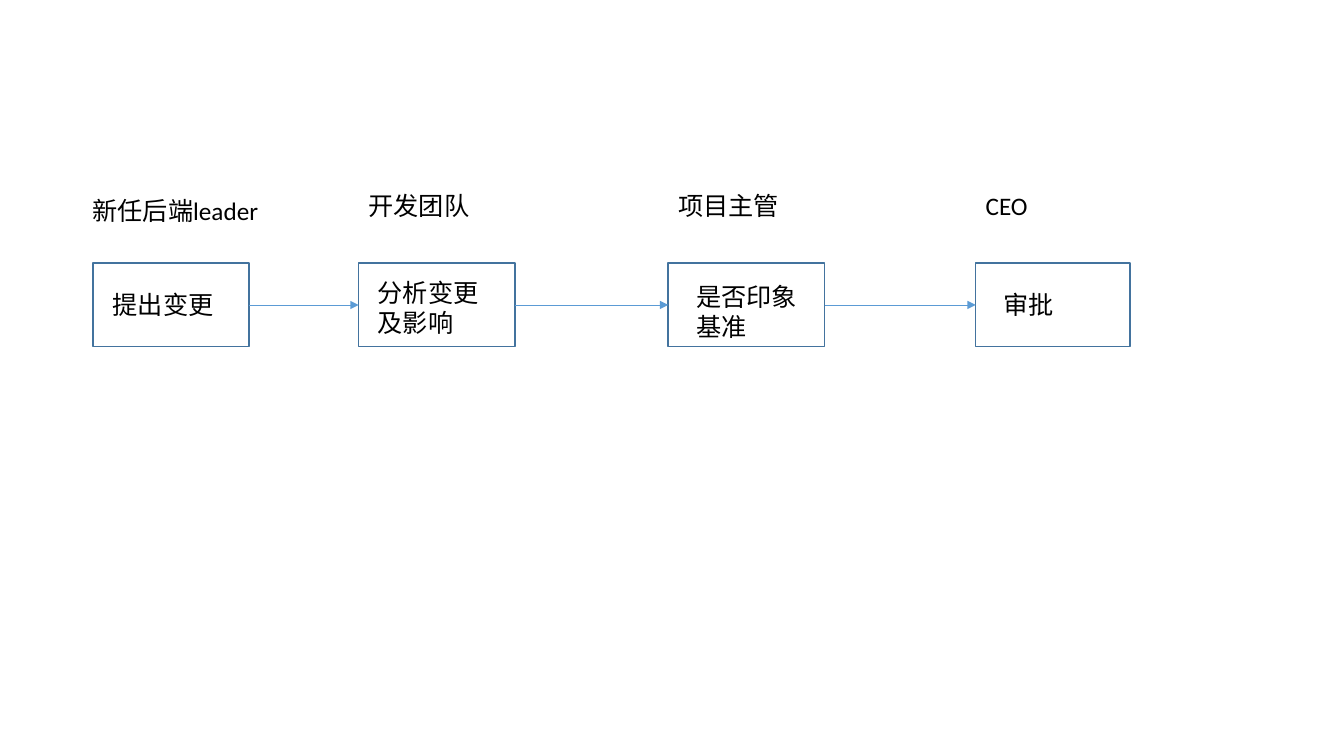
from dataclasses import dataclass
from itertools import pairwise

from lxml import etree
from pptx import Presentation
from pptx.dml.color import RGBColor
from pptx.enum.shapes import MSO_CONNECTOR, MSO_SHAPE
from pptx.enum.text import MSO_AUTO_SIZE
from pptx.oxml.ns import qn
from pptx.shapes.autoshape import Shape
from pptx.slide import Slide
from pptx.util import Cm, Pt

FONT = "Calibri"
TEXT_COLOR = "000000"
BOX_LINE = "43739E"
ARROW_LINE = "5B9BD5"
BOX_TOP, BOX_HEIGHT = 6.63, 2.11
ACTION_WIDTH = 3.45
LEFT_SITE, RIGHT_SITE = 1, 3


@dataclass(frozen=True)
class Label:
    text: str
    left: float
    top: float
    width: float
    height: float = 1.02


@dataclass(frozen=True)
class Step:
    left: float
    width: float
    role: Label
    action: Label


STEPS = [
    Step(2.34, 3.94,
         Label("新任后端leader", 2.08, 4.8, 5.03),
         Label("提出变更", 2.59, 7.16, ACTION_WIDTH)),
    Step(9.04, 3.94,
         Label("开发团队", 9.04, 4.67, 4.78),
         Label("分析变更及影响", 9.27, 6.86, ACTION_WIDTH, 1.8)),
    Step(16.84, 3.94,
         Label("项目主管", 16.84, 4.67, 4.78),
         Label("是否印象基准", 17.3, 6.96, ACTION_WIDTH, 1.8)),
    Step(24.59, 3.89,
         Label("CEO", 24.59, 4.67, 4.78),
         Label("审批", 25.04, 7.16, ACTION_WIDTH)),
]


def color(hex_value: str) -> RGBColor:
    return RGBColor.from_string(hex_value)


def add_box(slide: Slide, step: Step) -> Shape:
    box = slide.shapes.add_shape(
        MSO_SHAPE.RECTANGLE, Cm(step.left), Cm(BOX_TOP), Cm(step.width), Cm(BOX_HEIGHT))
    box.shadow.inherit = False
    box.fill.background()
    box.line.color.rgb = color(BOX_LINE)
    box.line.width = Pt(1)
    return box


def add_label(slide: Slide, label: Label) -> None:
    frame = slide.shapes.add_textbox(
        Cm(label.left), Cm(label.top), Cm(label.width), Cm(label.height)).text_frame
    frame.word_wrap = True
    frame.auto_size = MSO_AUTO_SIZE.SHAPE_TO_FIT_TEXT
    run = frame.paragraphs[0].add_run()
    run.text = label.text
    run.font.name = FONT
    run.font.size = Pt(18)
    run.font.color.rgb = color(TEXT_COLOR)


def add_arrow(slide: Slide, source: Shape, target: Shape) -> None:
    arrow = slide.shapes.add_connector(MSO_CONNECTOR.STRAIGHT, 0, 0, 0, 0)
    arrow.begin_connect(source, RIGHT_SITE)
    arrow.end_connect(target, LEFT_SITE)
    arrow.line.color.rgb = color(ARROW_LINE)
    arrow.line.width = Pt(0.5)
    properties = arrow._element.spPr
    etree.SubElement(properties.find(qn("a:ln")), qn("a:tailEnd"), type="triangle")
    etree.SubElement(properties, qn("a:effectLst"))


def main() -> None:
    presentation = Presentation()
    presentation.slide_width = Cm(33.87)
    presentation.slide_height = Cm(19.05)
    slide = presentation.slides.add_slide(presentation.slide_layouts.get_by_name("Blank"))

    boxes = [add_box(slide, step) for step in STEPS]
    for source, target in pairwise(boxes):
        add_arrow(slide, source, target)
    for step in STEPS:
        add_label(slide, step.role)
        add_label(slide, step.action)

    presentation.save("out.pptx")


main()
